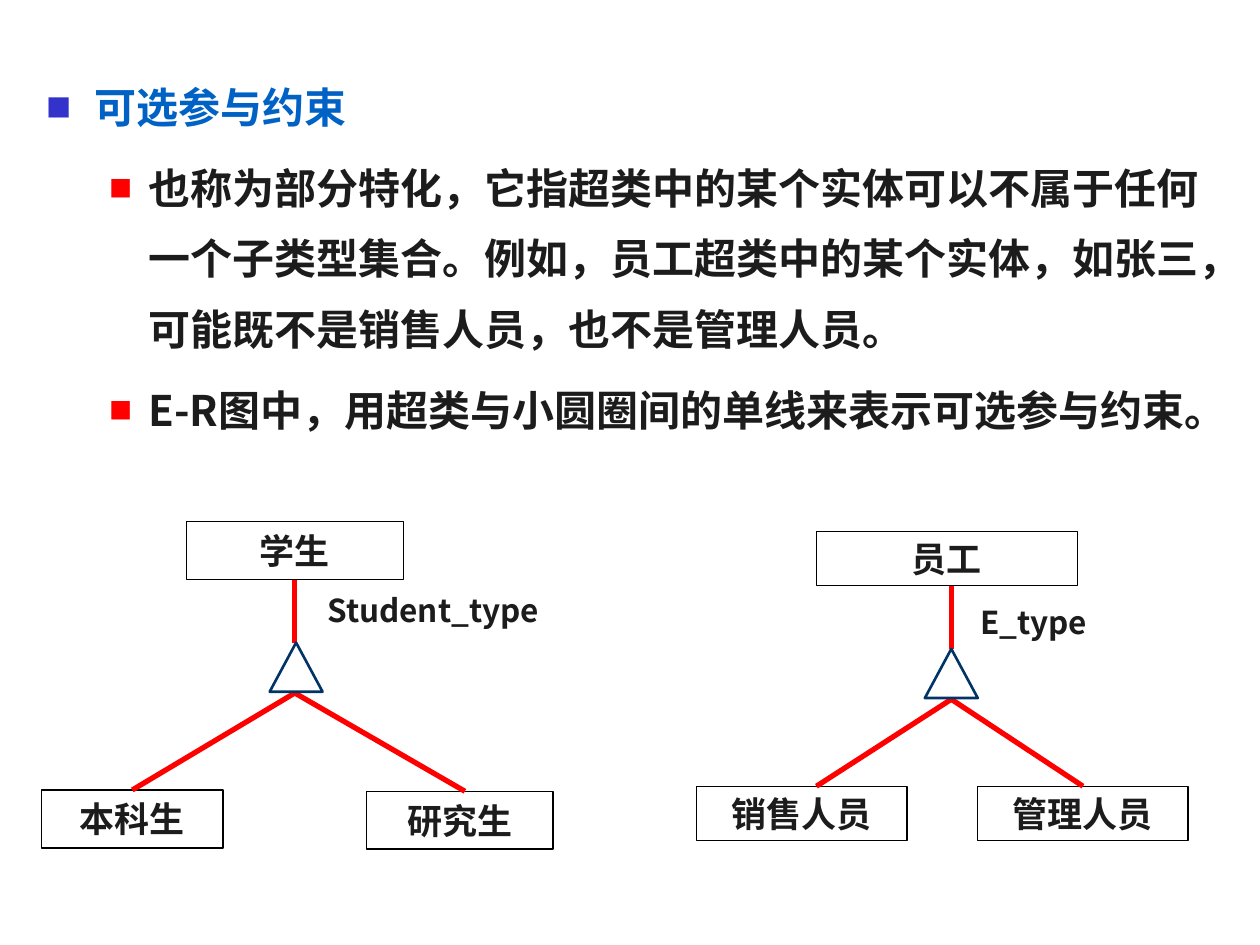
from lxml.etree import SubElement as Sub
from pptx import Presentation
from pptx.dml.color import RGBColor as RGB
from pptx.enum.shapes import MSO_CONNECTOR as Conn, MSO_SHAPE as Shape
from pptx.enum.text import MSO_ANCHOR as Anchor, PP_ALIGN as Align
from pptx.oxml.ns import qn
from pptx.util import Inches, Pt

# Content
FONT = "Noto Sans CJK SC"
HEX = {"head": "0062C4", "text": "1C1C1C", "mark": "3333CC", "red": "FF0000",
       "navy": "003366", "black": "000000", "white": "FFFFFF"}

# text, level, colour, bullet colour, bullet size %, left indent, hanging indent
BODY = [
    ("可选参与约束", 0, "head", "mark", 60, 0.38, 0.38),
    ("也称为部分特化，它指超类中的某个实体可以不属于任何一个子类型集合。"
     "例如，员工超类中的某个实体，如张三，可能既不是销售人员，也不是管理人员。",
     1, "text", "red", 55, 0.81, 0.31),
    ("E-R图中，用超类与小圆圈间的单线来表示可选参与约束。",
     1, "text", "red", 55, 0.81, 0.31),
]

# Each tree: parent, children with the x where their line lands,
# type label, x of the stem, triangle box, y where the branches start
TREES = [
    {"top": ("学生", (1.48, 4.14, 1.72, 0.46)),
     "kids": [("本科生", (0.33, 6.27, 1.44, 0.46), 1.05),
              ("研究生", (2.91, 6.28, 1.48, 0.46), 3.69)],
     "label": ("Student_type", (2.5, 4.64, 2.35, 0.46)),
     "stem": 2.34, "tri": (2.14, 5.1, 0.42, 0.39), "fork": 5.5},
    {"top": ("员工", (6.48, 4.22, 2.07, 0.43)),
     "kids": [("销售人员", (5.53, 6.24, 1.67, 0.43), 6.48),
              ("管理人员", (7.76, 6.24, 1.67, 0.43), 8.59)],
     "label": ("E_type", (7.68, 4.74, 1.49, 0.43)),
     "stem": 7.55, "tri": (7.34, 5.15, 0.42, 0.39), "fork": 5.55},
]

prs = Presentation()
prs.slide_width, prs.slide_height = Inches(10), Inches(7.5)
slide = prs.slides.add_slide(prs.slide_layouts[6])
shapes = slide.shapes


def color(name):
    return RGB.from_string(HEX[name])


def style(para, size, name="text"):
    font = para.font
    font.size, font.bold, font.name = Pt(size), True, FONT
    font.color.rgb = color(name)
    Sub(para._p.pPr.find(qn("a:defRPr")), qn("a:ea"), typeface=FONT)


def add_text(at):
    frame = shapes.add_textbox(*map(Inches, at)).text_frame
    frame.word_wrap = True
    return frame


def add_bullet(para, name, size, left, hang):
    props = para._p.get_or_add_pPr()
    props.set("marL", str(Inches(left)))
    props.set("indent", str(-Inches(hang)))
    Sub(Sub(props, qn("a:buClr")), qn("a:srgbClr"), val=HEX[name])
    Sub(props, qn("a:buSzPct"), val=str(size * 1000))
    Sub(props, qn("a:buFont"), typeface=FONT)
    Sub(props, qn("a:buChar"), char="■")


def add_box(text, at):
    box = shapes.add_shape(Shape.RECTANGLE, *map(Inches, at))
    box.shadow.inherit = False
    box.fill.solid()
    box.fill.fore_color.rgb = color("white")
    box.line.color.rgb = color("black")
    box.line.width = Pt(0.75)
    frame = box.text_frame
    frame.vertical_anchor = Anchor.MIDDLE
    para = frame.paragraphs[0]
    para.text, para.alignment = text, Align.CENTER
    style(para, 20)
    return box


def add_line(start, end):
    line = shapes.add_connector(Conn.STRAIGHT, *map(Inches, start + end))
    line.line.color.rgb = color("red")
    line.line.width = Pt(3)
    Sub(line._element.spPr, qn("a:effectLst"))
    return line


def is_mid(x, at):
    return abs(x - at[0] - at[2] / 2) < 0.02


# Bulleted text
frame = add_text((0.27, 0.44, 9.45, 3.23))
for i, (text, level, name, mark, size, left, hang) in enumerate(BODY):
    para = frame.add_paragraph() if i else frame.paragraphs[0]
    para.text, para.level = text, level
    para.line_spacing = Pt(40.3)
    para.space_before = Pt(5.8 if i else 0)
    add_bullet(para, mark, size, left, hang)
    style(para, 24, name)

# Specialization trees
for tree in TREES:
    text, at = tree["top"]
    x, tri = tree["stem"], tree["tri"]
    top = add_box(text, at)
    stem = add_line((x, at[1] + at[3]), (x, tri[1]))
    if is_mid(x, at):
        stem.begin_connect(top, 2)

    for text, at, end in tree["kids"]:
        kid = add_box(text, at)
        arm = add_line((x, tree["fork"]), (end, at[1]))
        if is_mid(end, at):
            arm.end_connect(kid, 0)

    text, at = tree["label"]
    para = add_text(at).paragraphs[0]
    para.text = text
    style(para, 18)

    mark = shapes.add_shape(Shape.ISOSCELES_TRIANGLE, *map(Inches, tri))
    mark.shadow.inherit = False
    mark.fill.background()
    mark.line.color.rgb = color("navy")
    mark.line.width = Pt(1.5)

prs.save("out.pptx")
